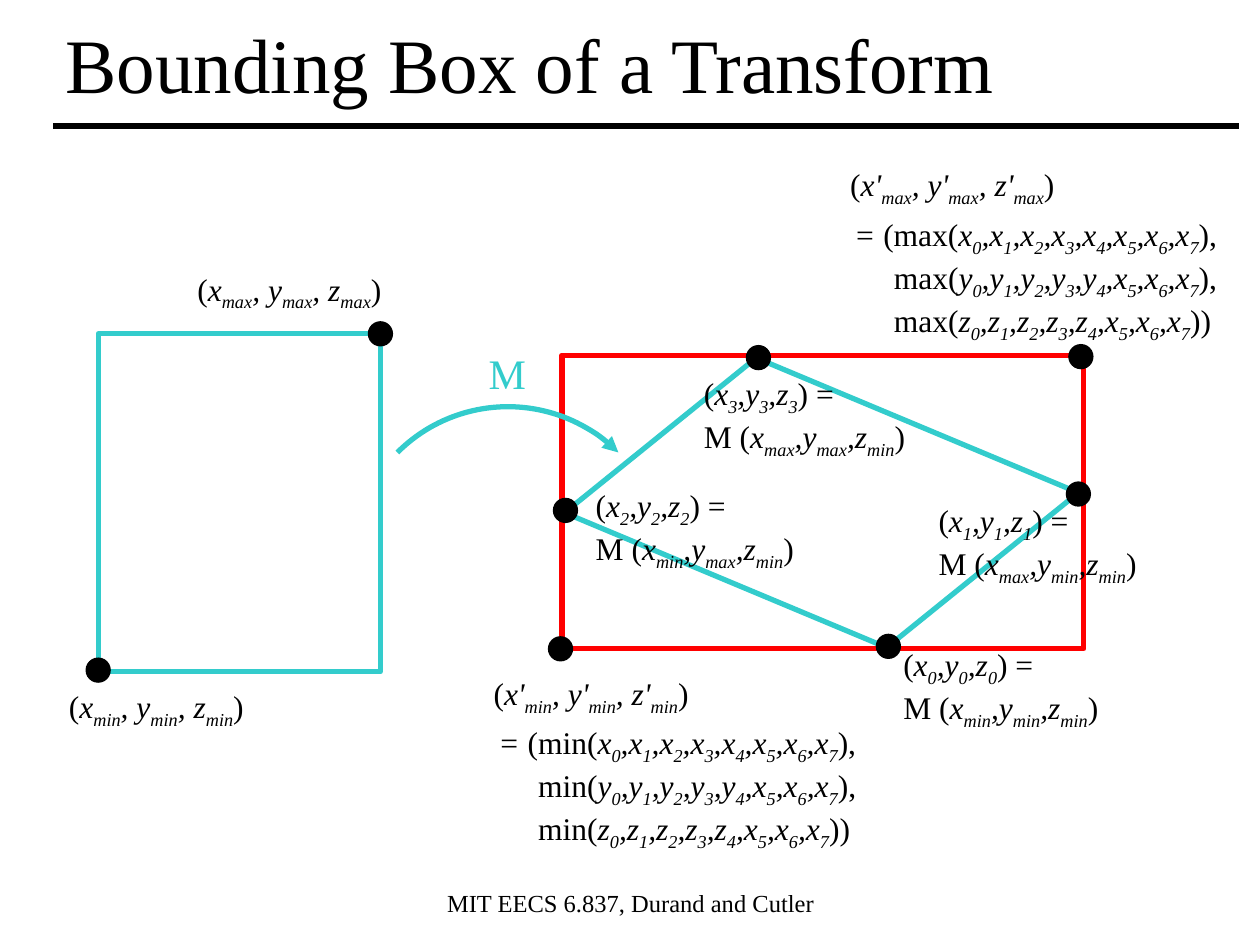
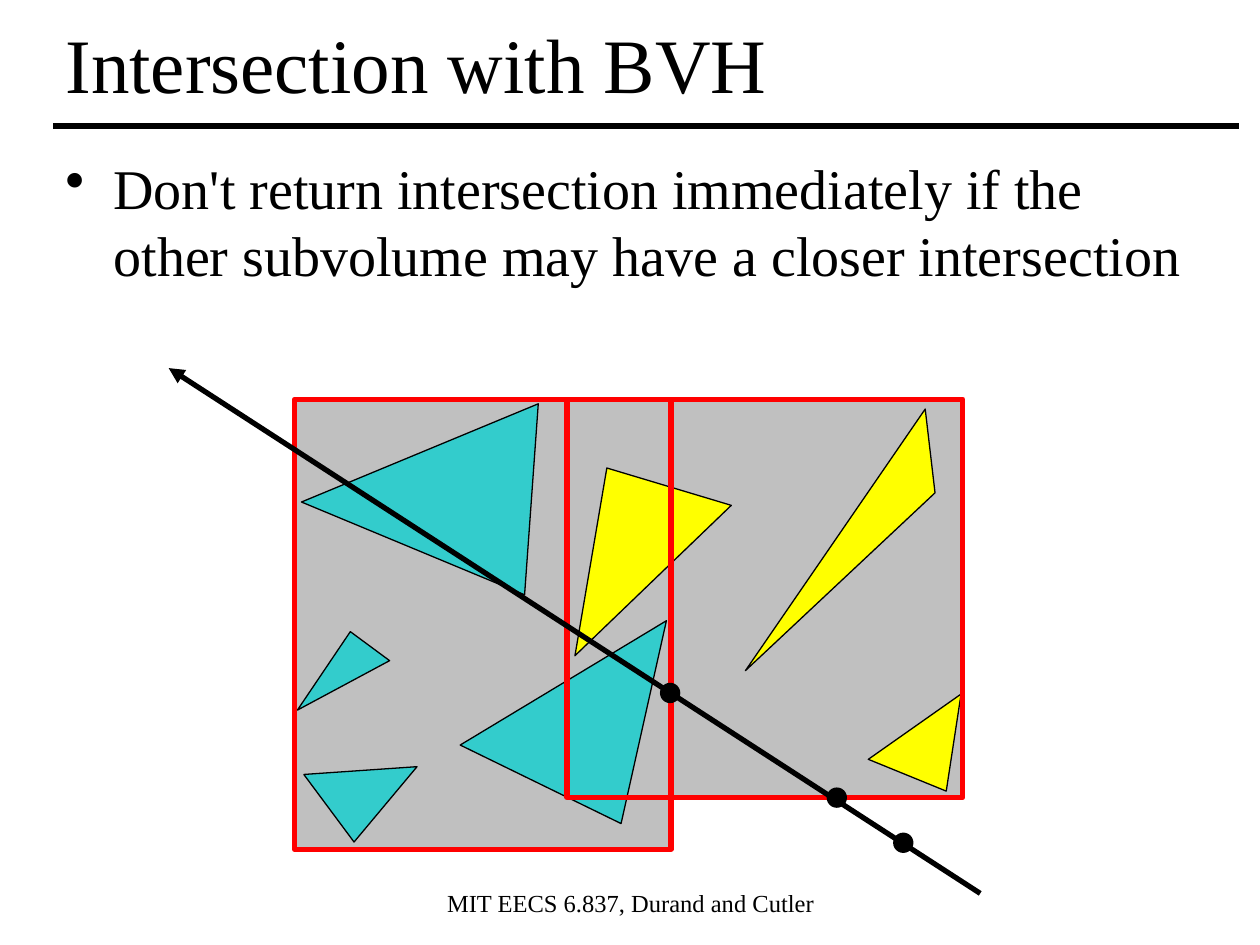
from dataclasses import dataclass

from lxml.etree import SubElement
from pptx import Presentation
from pptx.dml.color import RGBColor
from pptx.enum.shapes import MSO_CONNECTOR, MSO_SHAPE
from pptx.enum.text import MSO_ANCHOR, PP_ALIGN
from pptx.oxml.ns import qn
from pptx.util import Cm, Pt


@dataclass(frozen=True)
class Theme:
    font: str = "Times New Roman"
    black: str = "000000"
    red: str = "FF0000"
    teal: str = "33CCCC"
    yellow: str = "FFFF00"
    grey: str = "C0C0C0"
    title: int = 44
    body: int = 32
    letter: int = 24
    math: int = 18
    foot: int = 14
    thick: float = 3
    thin: float = 0.75


T = Theme()
FOOTER = "MIT EECS 6.837, Durand and Cutler"


def extreme(name):
    """Formula that takes min or max of each axis over the eight corners."""
    rows = []
    for axis in "xyz":
        terms = [f"{axis if i < 5 else 'x'}[{i}]" for i in range(8)]
        rows.append(f"{name}(*{','.join(terms)}*)")
    return "*= *(" + ",\n".join(rows) + ")"


def corner(mark, end, gap=", "):
    return "(*" + gap.join(f"{axis}{mark}[{end}]" for axis in "xyz") + "*)"


def mapped(index, ends):
    """Corner number index, as the image under M of a source corner."""
    source = ",".join(f"{axis}[{end}]" for axis, end in zip("xyz", ends))
    return f"{corner('', index, ',')} =\nM (*{source}*)"


# Formulas: stars switch italics, brackets hold subscripts.
# Each is left, top, width, height, hanging indent, text.
FORMULAS = [
    (9.7, 13.46, 6.27, 1.12, 0, corner("'", "min")),
    (16.89, 3.2, 7.34, 1.12, 0, corner("'", "max")),
    (9.8, 14.45, 8.43, 2.87, 0.8, extreme("min")),
    (16.97, 4.22, 8.43, 2.87, 0.8, extreme("max")),
    (1.14, 13.72, 4.57, 1.12, 0, corner("", "min")),
    (3.73, 5.31, 4.57, 1.12, 0, corner("", "max")),
    (17.96, 12.88, 5.2, 1.98, 0, mapped(0, ("min", "min", "min"))),
    (18.67, 9.98, 5.2, 1.98, 0, mapped(1, ("max", "min", "min"))),
    (11.76, 9.68, 5.2, 1.98, 0, mapped(2, ("min", "max", "min"))),
    (13.94, 7.42, 5.2, 1.98, 0, mapped(3, ("max", "max", "min"))),
]
CORNERS = [(11.3, 13.08), (21.79, 7.19), (1.98, 13.51), (7.67, 6.73),
           (11.4, 10.29), (15.29, 7.21), (21.74, 9.96), (17.91, 13.03)]
BOUNDS = (11.33, 7.16, 10.52, 5.92)
SOURCE = (1.98, 6.73, 5.69, 6.81)
IMAGE = (11.86, 7.95, 9.4, 4.37)
SWEEP = (7.09, 8.2, 6.3, 6.3)

ADVICE = ("Don't return intersection immediately if the "
          "other subvolume may have a closer intersection")
FLOORS = [(11.86, 8.03, 7.57, 8.03), (5.92, 8.03, 7.57, 9.09)]
VOLUMES = [(11.43, 8.05, 7.98, 8.03), (5.94, 8.05, 7.59, 9.07)]
# Box, turn in degrees, place of the apex along the base, fill
TRIANGLES = [
    ((11.63, 9.73, 2.62, 3.81), 196.7, 0.82, T.yellow),
    ((14.1, 10.64, 6.4, 1.12), 124.5, 0.2, T.yellow),
    ((6.48, 7.59, 3.86, 4.62), 274.1, 0.4, T.teal),
    ((9.17, 12.42, 4.19, 3.51), 282.6, 0.2, T.teal),
    ((5.66, 12.98, 2.11, 0.89), 331.8, 0.8, T.teal),
    ((17.42, 14.02, 1.98, 1.65), 278.7, 0.2, T.yellow),
    ((6.15, 14.86, 1.98, 1.65), 309.9, 0.2, T.teal),
]
HITS = [(18.21, 16.99), (16.87, 16.08), (13.51, 13.97)]
RAY = (19.76, 18.01, 3.4, 7.42)


def lengths(values):
    return [Cm(value) for value in values]


def shape(slide, kind, box, fill=None, line=None, width=T.thick, turn=0, adjust=()):
    item = slide.shapes.add_shape(kind, *lengths(box))
    item.shadow.inherit = False
    item.rotation = turn
    for i, value in enumerate(adjust):
        item.adjustments[i] = value
    if fill:
        item.fill.solid()
        item.fill.fore_color.rgb = RGBColor.from_string(fill)
    else:
        item.fill.background()
    if line:
        item.line.color.rgb = RGBColor.from_string(line)
        item.line.width = Pt(width)
    else:
        item.line.fill.background()
    return item


def dots(slide, points, size):
    for x, y in points:
        box = (x - size / 2, y - size / 2, size, size)
        shape(slide, MSO_SHAPE.OVAL, box, fill=T.black)


def point(item):
    """Put an arrowhead at the end of a line."""
    SubElement(item.line._get_or_add_ln(), qn("a:tailEnd"), type="triangle")


def stroke(slide, ends):
    item = slide.shapes.add_connector(MSO_CONNECTOR.STRAIGHT, *lengths(ends))
    item.line.color.rgb = RGBColor.from_string(T.black)
    item.line.width = Pt(T.thick)
    SubElement(item._element.spPr, qn("a:effectLst"))
    return item


def add_run(para, text, size, ink, slant=False, low=False):
    run = para.add_run()
    run.text = text
    run.font.name = T.font
    run.font.size = Pt(size)
    run.font.italic = slant
    run.font.color.rgb = RGBColor.from_string(ink)
    if low:
        run._r.get_or_add_rPr().set("baseline", "-25000")


def write(para, text, size, ink):
    """Turn marked text into runs."""
    for i, part in enumerate(text.split("*")):
        for j, bit in enumerate(part.replace("]", "[").split("[")):
            for k, row in enumerate(bit.split("\n")):
                if k:
                    para.add_line_break()
                if row:
                    add_run(para, row, size, ink, i % 2 == 1, j % 2 == 1)


def label(slide, box, text, size, ink=T.black, hang=0, bullet=False,
          anchor=MSO_ANCHOR.TOP, align=PP_ALIGN.LEFT):
    frame = slide.shapes.add_textbox(*lengths(box)).text_frame
    frame.word_wrap = True
    frame.vertical_anchor = anchor
    para = frame.paragraphs[0]
    para.alignment = align
    props = para._p.get_or_add_pPr()
    if hang:
        props.set("marL", str(Cm(hang)))
        props.set("indent", str(-Cm(hang)))
    if bullet:
        SubElement(props, qn("a:buChar"), char="•")
    write(para, text, size, ink)


def start(deck, title):
    """Add a slide with the footer, rule and title that all slides share."""
    slide = deck.slides.add_slide(deck.slide_layouts[6])
    label(slide, (8.69, 17.78, 8.05, 1.45), FOOTER, T.foot, align=PP_ALIGN.CENTER)
    stroke(slide, (1.07, 2.54, 24.97, 2.54))
    label(slide, (1.07, 0, 23.9, 2.51), title, T.title, anchor=MSO_ANCHOR.MIDDLE)
    return slide


def bounding(deck):
    slide = start(deck, "Bounding Box of a Transform")
    shape(slide, MSO_SHAPE.RECTANGLE, BOUNDS, line=T.red)
    shape(slide, MSO_SHAPE.RECTANGLE, SOURCE, line=T.teal)
    shape(slide, MSO_SHAPE.PARALLELOGRAM, IMAGE, line=T.teal, turn=22.7, adjust=[0.54])
    # Arc angles are stored in units of 0.6 per degree
    angles = [degree * 0.6 for degree in (225, 315)]
    point(shape(slide, MSO_SHAPE.ARC, SWEEP, line=T.teal, adjust=angles))
    label(slide, (9.6, 6.88, 1.32, 1.27), "M", T.letter, T.teal)
    dots(slide, CORNERS, 0.51)
    for *box, hang, text in FORMULAS:
        label(slide, box, text, T.math, hang=hang)


def hierarchy(deck):
    slide = start(deck, "Intersection with BVH")
    for box in FLOORS:
        shape(slide, MSO_SHAPE.RECTANGLE, box, fill=T.grey)
    for box, turn, apex, fill in TRIANGLES:
        shape(slide, MSO_SHAPE.ISOSCELES_TRIANGLE, box, fill, T.black, T.thin, turn, [apex])
    for box in VOLUMES:
        shape(slide, MSO_SHAPE.RECTANGLE, box, line=T.red)
    dots(slide, HITS, 0.41)
    point(stroke(slide, RAY))
    label(slide, (1.07, 2.97, 23.44, 14.58), ADVICE, T.body, hang=0.97, bullet=True)


def main():
    deck = Presentation()
    deck.slide_width, deck.slide_height = Cm(25.4), Cm(19.05)
    bounding(deck)
    hierarchy(deck)
    deck.save("out.pptx")


if __name__ == "__main__":
    main()
